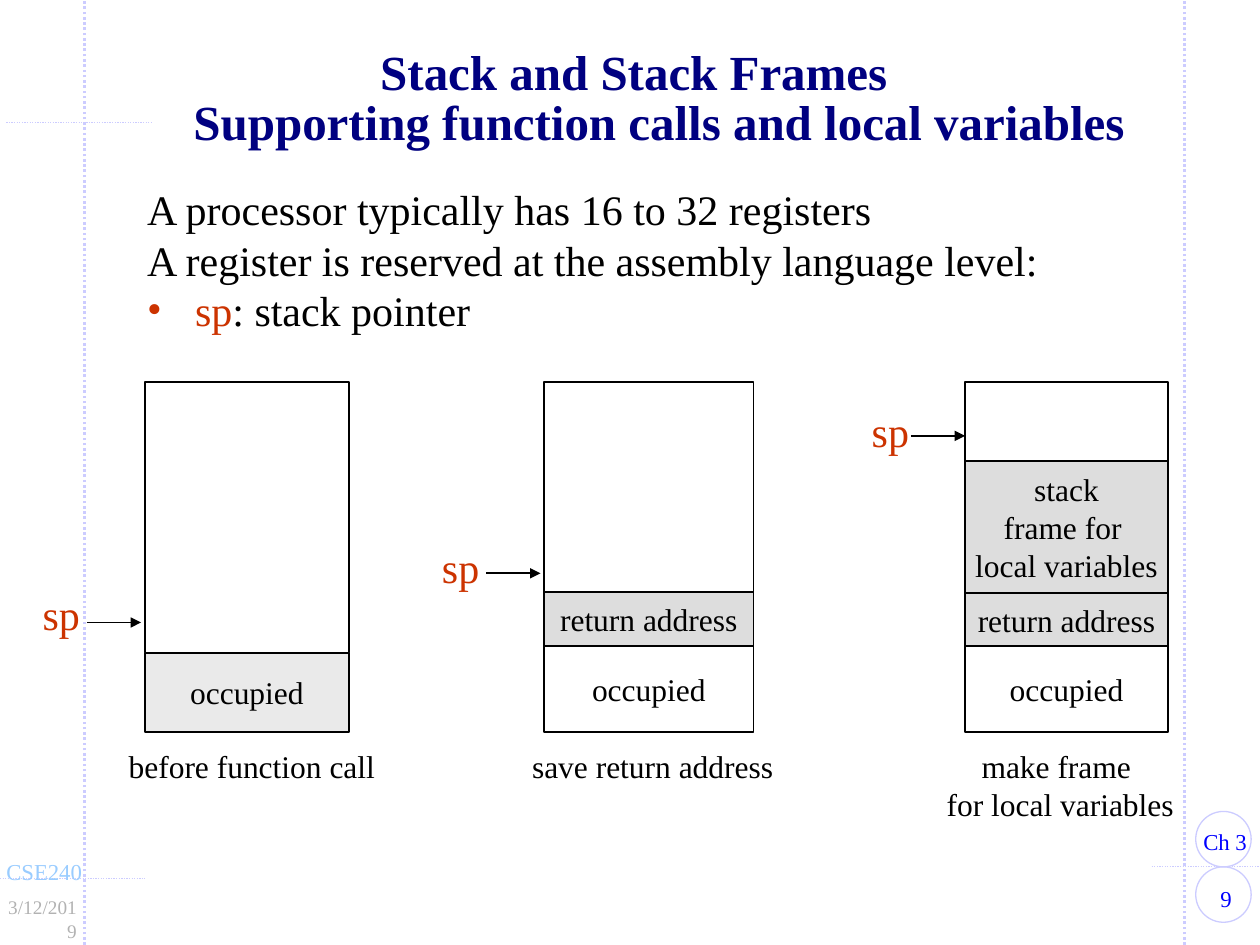
import pptx
import pptx.util
import pptx.dml.color
import pptx.enum.dml
import pptx.enum.shapes
import pptx.enum.text
import pptx.oxml.ns
from lxml import etree

THEME = {
    "font": "Times New Roman",
    "black": "000000", "white": "FFFFFF", "navy": "000080", "red": "CC3300",
    "blue": "0000FF", "sky": "99CCFF", "lilac": "CCCCFF", "date": "B2B2B2",
    "grey": "DDDDDD", "pale": "EAEAEA",
    "title": 28, "body": 24, "label": 18, "footer": 13, "small": 11,
    "hair": 0.75, "rule": 1.5, "edge": 1, "inset": 0.11,
}
WIDTH, HEIGHT = 10, 7.5

TITLE = "Stack and Stack Frames\nSupporting function calls and local variables"
BODY = [
    [("A processor typically has 16 to 32 registers", "black")],
    [("A register is reserved at the assembly language level:", "black")],
    [("sp", "red"), (": stack pointer", "black")],
]

GUIDES = [
    ((6.7, 100), (6.7, 0), "rule"),
    ((94, 100), (94, 0), "rule"),
    ((0, 92.93), (11.5, 92.93), "hair"),
    ((91.4, 91.73), (100.5, 91.73), "hair"),
    ((0.5, 12.93), (12, 12.93), "hair"),
]
CIRCLES = [(94.9, 91.73, 4.4, 5.87), (94.9, 85.87, 4.4, 5.87)]
FOOTERS = [
    ("9", (94.4, 92.93, 5.8, 4.27), "footer", "blue", "CENTER", True),
    ("Ch 3", (94.4, 86.93, 6, 4.27), "footer", "blue", "LEFT", False),
    ("CSE240", (-0.6, 90.13, 9, 4.27), "footer", "sky", "LEFT", False),
    ("3/12/2019", (-1.1, 94.13, 8.3, 3.87), "small", "date", "RIGHT", True),
]
STACK_TOP, STACK_BOTTOM = 40.4, 77.47
CAPTION_TOP, ARROW_LENGTH = 78.4, 4.3
STACKS = [
    {"left": 11.5, "width": 16.2,
     "cells": [([], STACK_TOP, "white"), (["occupied"], 69.07, "pale")],
     "sp": (2.4, 61.6), "arrow": (6.9, 65.87),
     "caption": (["before function call"], 9.2, 21.6, 5.33)},
    {"left": 43.2, "width": 16.6,
     "cells": [([], STACK_TOP, "white"), (["return address"], 62.67, "grey"),
               (["occupied"], 68.4, "white")],
     "sp": (34.1, 56.67), "arrow": (38.6, 60.67),
     "caption": (["save return address"], 41.2, 21.2, 5.33)},
    {"left": 76.6, "width": 16.1,
     "cells": [([], STACK_TOP, "white"),
               (["stack", "frame for \nlocal variables"], 48.8, "grey"),
               (["return address"], 62.75, "grey"), (["occupied"], 68.4, "white")],
     "sp": (68.2, 42.27), "arrow": (72.3, 46.13),
     "caption": (["make frame ", "for local variables"], 74.1, 20.1, 9.33)},
]


def x(share):
    return pptx.util.Inches(WIDTH * share / 100)


def y(share):
    return pptx.util.Inches(HEIGHT * share / 100)


def place(box):
    left, top, width, height = box
    return x(left), y(top), x(width), y(height)


def rgb(name):
    return pptx.dml.color.RGBColor.from_string(THEME[name])


def apply(target, formats):
    for name, value in formats.items():
        setattr(target, name, value)


def write(sp, paragraphs, size, align="LEFT", wrap=False, anchor="TOP", bold=False, inset=0.1):
    tf = sp.text_frame
    side = pptx.util.Inches(inset)
    apply(tf, {"word_wrap": wrap, "margin_left": side, "margin_right": side,
               "vertical_anchor": getattr(pptx.enum.text.MSO_ANCHOR, anchor)})
    for i, runs in enumerate(paragraphs):
        p = tf.add_paragraph() if i else tf.paragraphs[0]
        p.alignment = getattr(pptx.enum.text.PP_ALIGN, align)
        for text, color in runs:
            for j, line in enumerate(text.split("\n")):
                if j:
                    p.add_line_break()
                r = p.add_run()
                r.text = line
                apply(r.font, {"name": THEME["font"], "size": pptx.util.Pt(THEME[size]),
                               "bold": bold})
                r.font.color.rgb = rgb(color)
    return tf


def add_text(s, box, paragraphs, size, **options):
    return write(s.shapes.add_textbox(*place(box)), paragraphs, size, **options)


def add_shape(s, kind, box, fill, line, width):
    sp = s.shapes.add_shape(getattr(pptx.enum.shapes.MSO_SHAPE, kind), *place(box))
    sp.shadow.inherit = False
    if fill:
        sp.fill.solid()
        sp.fill.fore_color.rgb = rgb(fill)
    else:
        sp.fill.background()
    sp.line.color.rgb = rgb(line)
    sp.line.width = pptx.util.Pt(THEME[width])
    return sp


def add_line(s, start, end, color, width, dotted=False, arrow=False):
    cx = s.shapes.add_connector(pptx.enum.shapes.MSO_CONNECTOR.STRAIGHT,
                                x(start[0]), y(start[1]), x(end[0]), y(end[1]))
    cx.line.color.rgb = rgb(color)
    cx.line.width = pptx.util.Pt(THEME[width])
    if dotted:
        cx.line.dash_style = pptx.enum.dml.MSO_LINE.ROUND_DOT
    qn = pptx.oxml.ns.qn
    sppr = cx._element.spPr
    if arrow:
        etree.SubElement(sppr.find(qn("a:ln")), qn("a:tailEnd"), type="triangle")
    etree.SubElement(sppr, qn("a:effectLst"))


def hang(p, inches, bullet=None, color=None):
    qn = pptx.oxml.ns.qn
    ppr = p._p.get_or_add_pPr()
    indent = pptx.util.Inches(inches)
    ppr.set("marL", str(indent))
    ppr.set("indent", str(-indent))
    if bullet:
        clr = etree.SubElement(ppr, qn("a:buClr"))
        etree.SubElement(clr, qn("a:srgbClr"), val=THEME[color])
        etree.SubElement(ppr, qn("a:buFont"), typeface=THEME["font"])
        etree.SubElement(ppr, qn("a:buChar"), char=bullet)


def add_stack(s, stack):
    cells = stack["cells"]
    bottoms = [top for _, top, _ in cells[1:]] + [STACK_BOTTOM]
    for (lines, top, fill), bottom in zip(cells, bottoms):
        box = (stack["left"], top, stack["width"], bottom - top)
        sp = add_shape(s, "RECTANGLE", box, fill, "black", "edge")
        if lines:
            write(sp, [[(line, "black")] for line in lines], "label",
                  align="CENTER", anchor="MIDDLE")
    add_text(s, (*stack["sp"], 5, 6.67), [[("sp", "red")]], "body")
    left, top = stack["arrow"]
    add_line(s, (left, top), (left + ARROW_LENGTH, top), "black", "edge", arrow=True)
    lines, left, width, height = stack["caption"]
    add_text(s, (left, CAPTION_TOP, width, height),
             [[(line, "black")] for line in lines], "label", align="CENTER")


def main():
    prs = pptx.Presentation()
    apply(prs, {"slide_width": pptx.util.Inches(WIDTH), "slide_height": pptx.util.Inches(HEIGHT)})
    s = prs.slides.add_slide(prs.slide_layouts[6])
    for start, end, width in GUIDES:
        add_line(s, start, end, "lilac", width, dotted=True)
    for box in CIRCLES:
        add_shape(s, "OVAL", box, None, "lilac", "hair")
    for text, box, size, color, align, wrap in FOOTERS:
        add_text(s, box, [[(text, color)]], size, align=align, wrap=wrap, inset=THEME["inset"])
    tf = add_text(s, (7.3, 4.13, 86, 13.07), [[(TITLE, "navy")]], "title", align="CENTER",
                  wrap=True, anchor="MIDDLE", bold=True, inset=THEME["inset"])
    tf.paragraphs[0].line_spacing = 0.85
    hang(tf.paragraphs[0], 0.4)
    tf = add_text(s, (10.7, 18.8, 79.3, 17.47), BODY, "body", wrap=True)
    hang(tf.paragraphs[-1], 0.38, "•", "red")
    for stack in STACKS:
        add_stack(s, stack)
    prs.save("out.pptx")


if __name__ == "__main__":
    main()
